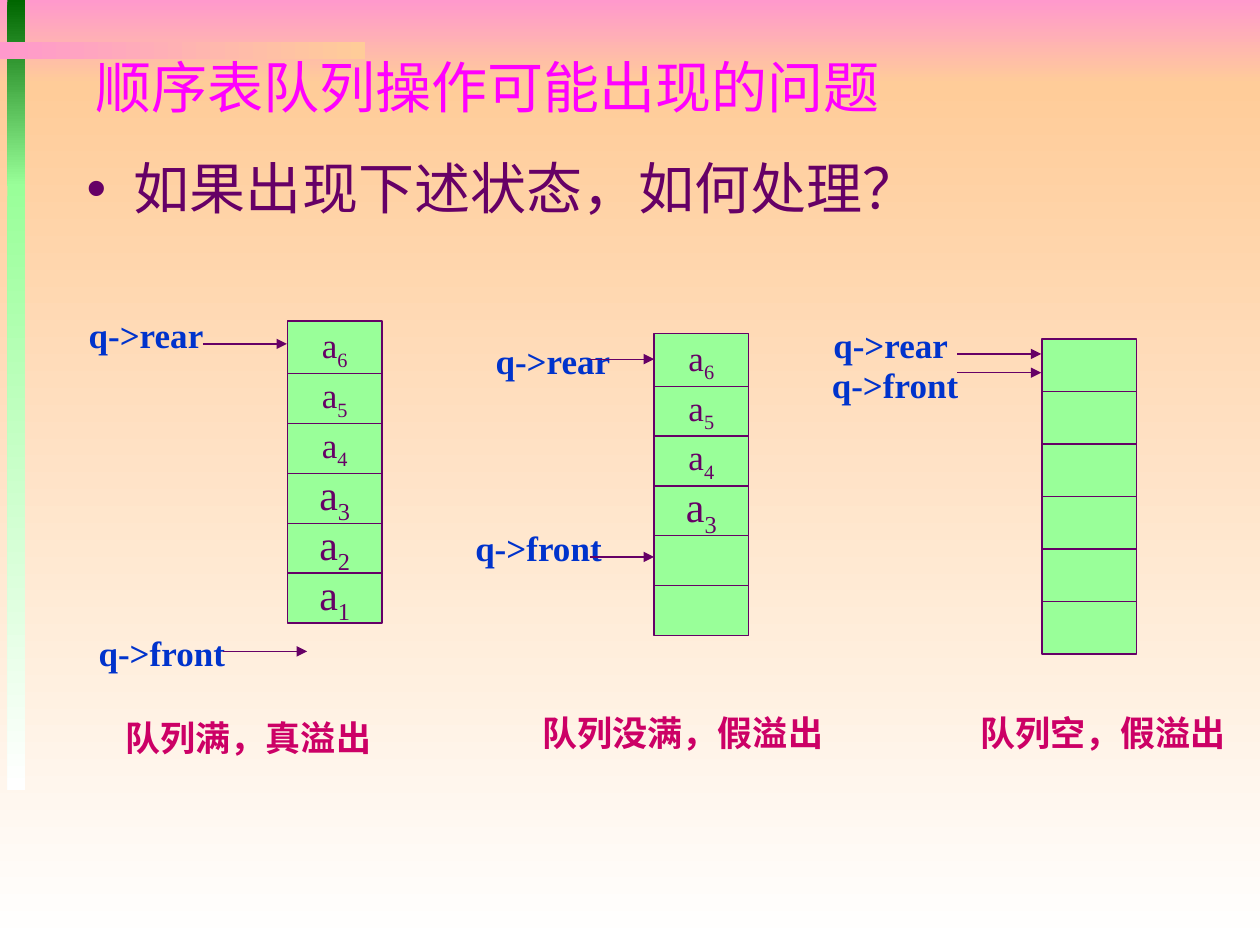
from dataclasses import dataclass

from lxml import etree
from pptx import Presentation
from pptx.dml.color import RGBColor
from pptx.enum.shapes import MSO_CONNECTOR, MSO_SHAPE
from pptx.enum.text import MSO_ANCHOR, MSO_AUTO_SIZE, PP_ALIGN
from pptx.oxml.ns import qn
from pptx.util import Pt

RECT = MSO_SHAPE.RECTANGLE
STRAIGHT = MSO_CONNECTOR.STRAIGHT
TOP, MIDDLE = MSO_ANCHOR.TOP, MSO_ANCHOR.MIDDLE
LEFT, CENTER = PP_ALIGN.LEFT, PP_ALIGN.CENTER
DOWN, ACROSS = 270, 0


@dataclass(frozen=True)
class Theme:
    pink: str = "FF99CC"
    peach: str = "FFCC99"
    white: str = "FFFFFF"
    dark_green: str = "006600"
    green: str = "99FF99"
    magenta: str = "FF00FF"
    purple: str = "660066"
    blue: str = "0033CC"
    crimson: str = "CC0066"
    serif: str = "Times New Roman"
    sans: str = "Arial"
    title_font: str = "Roboto Condensed"
    heading: int = 32
    large: int = 24
    normal: int = 20
    line: float = 0.75


T = Theme()
CELL_W, CELL_H = 54, 30
LABEL_H, CAPTION_H = 24, 31.5
CAPACITY = 6
# Elements a1 to a3 are set larger than a4 to a6
LARGE_ITEMS = 3


@dataclass(frozen=True)
class Queue:
    left: float
    top: float
    step: float
    items: range
    pointers: tuple  # (text, left, top, width, arrow start, arrow end, arrow y)
    caption: tuple   # (text, left, top, width)


QUEUES = (
    Queue(595.5, 193.75, 30, range(0),
          (("q->rear", 462.25, 185, 93.5, 547, 595, 202.25),
           ("q->front", 473, 207.5, 77, 547, 595, 213)),
          ("队列空，假溢出", 553, 403, 156)),
    Queue(164.25, 183.5, 28.5, range(1, 7),
          (("q->rear", 36.75, 179.25, 93.5, 116, 164, 196.5),
           ("q->front", 54, 360.75, 77, 127.5, 175.5, 372.25)),
          ("队列满，真溢出", 64.75, 406, 170)),
    Queue(373.75, 190.75, 28.5, range(3, 7),
          (("q->rear", 269.25, 193.75, 93.5, 337, 373.75, 205.25),
           ("q->front", 269.25, 301, 77, 337, 373.75, 318.25)),
          ("队列没满，假溢出", 303, 403, 198.75)),
)


def rgb(color):
    return RGBColor.from_string(color)


def write(sp, text, *, size=T.normal, color=T.purple, font=T.serif, bold=False,
          align=LEFT, anchor=TOP, wrap=True, sub=""):
    """Put one paragraph in a shape, with an optional subscript at its end."""
    tf = sp.text_frame
    tf.auto_size = MSO_AUTO_SIZE.NONE
    tf.word_wrap = wrap
    tf.vertical_anchor = anchor
    p = tf.paragraphs[0]
    p.alignment = align
    for part in filter(None, (text, sub)):
        r = p.add_run()
        r.text = part
        r.font.size, r.font.name, r.font.bold = Pt(size), font, bold
        r.font.color.rgb = rgb(color)
    if sub:
        r._r.get_or_add_rPr().set("baseline", "-25000")
    return p


def add_text(slide, text, x, y, w, h, **style):
    box = slide.shapes.add_textbox(Pt(x), Pt(y), Pt(w), Pt(h))
    return write(box, text, **style)


def add_rect(slide, x, y, w, h):
    sp = slide.shapes.add_shape(RECT, Pt(x), Pt(y), Pt(w), Pt(h))
    sp.shadow.inherit = False
    return sp


def add_gradient(slide, x, y, w, h, start, end, angle=DOWN):
    sp = add_rect(slide, x, y, w, h)
    sp.line.fill.background()
    sp.fill.gradient()
    sp.fill.gradient_angle = angle
    for stop, color in zip(sp.fill.gradient_stops, (start, end)):
        stop.color.rgb = rgb(color)


def add_cell(slide, x, y, item):
    sp = add_rect(slide, x, y, CELL_W, CELL_H)
    sp.fill.solid()
    sp.fill.fore_color.rgb = rgb(T.green)
    sp.line.color.rgb = rgb(T.purple)
    sp.line.width = Pt(T.line)
    if item:
        size = T.large if item <= LARGE_ITEMS else T.normal
        write(sp, "a", sub=str(item), size=size, align=CENTER, anchor=MIDDLE, wrap=False)


def add_arrow(slide, x1, x2, y):
    line = slide.shapes.add_connector(STRAIGHT, Pt(x1), Pt(y), Pt(x2), Pt(y))
    line.line.color.rgb = rgb(T.purple)
    line.line.width = Pt(T.line)
    etree.SubElement(line.line._get_or_add_ln(), qn("a:tailEnd"), type="triangle")
    etree.SubElement(line._element.spPr, qn("a:effectLst"))


def add_background(slide):
    add_gradient(slide, 0, 0, 720, 48, T.pink, T.peach)
    add_gradient(slide, 0, 48, 720, 492, T.peach, T.white)
    add_gradient(slide, 4.25, 0, 10, 106.5, T.dark_green, T.green)
    add_gradient(slide, 4.25, 105, 10, 346.5, T.green, T.white)
    add_gradient(slide, 0, 24, 208.5, 10, T.pink, T.peach, ACROSS)


def add_title(slide, text):
    """Format the title placeholder and bring it in front of the background."""
    title = slide.shapes.title
    title.left, title.top, title.width, title.height = Pt(47.5), Pt(21.5), Pt(648), Pt(55.5)
    write(title, text, size=T.heading, color=T.magenta, font=T.title_font, anchor=MIDDLE)
    slide.shapes._spTree.append(title._element)


def add_bullet(slide, text):
    p = add_text(slide, text, 42.5, 88.5, 648, 39.5, size=T.heading, font=T.sans)
    p.line_spacing = 0.9
    pPr = p._p.get_or_add_pPr()
    pPr.set("marL", str(Pt(27)))
    pPr.set("indent", str(Pt(-27)))
    etree.SubElement(pPr, qn("a:buFont"), typeface=T.sans)
    etree.SubElement(pPr, qn("a:buChar"), char="•")


def add_queue(slide, queue):
    """Stack the cells from the bottom up, then add pointers and caption."""
    for position in range(1, CAPACITY + 1):
        y = queue.top + (CAPACITY - position) * queue.step
        add_cell(slide, queue.left, y, position if position in queue.items else None)
    for text, x, y, w, start, end, arrow_y in queue.pointers:
        add_text(slide, text, x, y, w, LABEL_H, color=T.blue, bold=True,
                 align=CENTER, anchor=MIDDLE, wrap=False)
        add_arrow(slide, start, end, arrow_y)
    add_text(slide, *queue.caption, CAPTION_H, color=T.crimson, bold=True)


def main():
    prs = Presentation()
    prs.slide_width, prs.slide_height = Pt(720), Pt(540)
    slide = prs.slides.add_slide(prs.slide_layouts.get_by_name("Title Only"))
    add_background(slide)
    add_title(slide, "顺序表队列操作可能出现的问题")
    add_bullet(slide, "如果出现下述状态，如何处理？")
    for queue in QUEUES:
        add_queue(slide, queue)
    prs.save("out.pptx")


if __name__ == "__main__":
    main()
